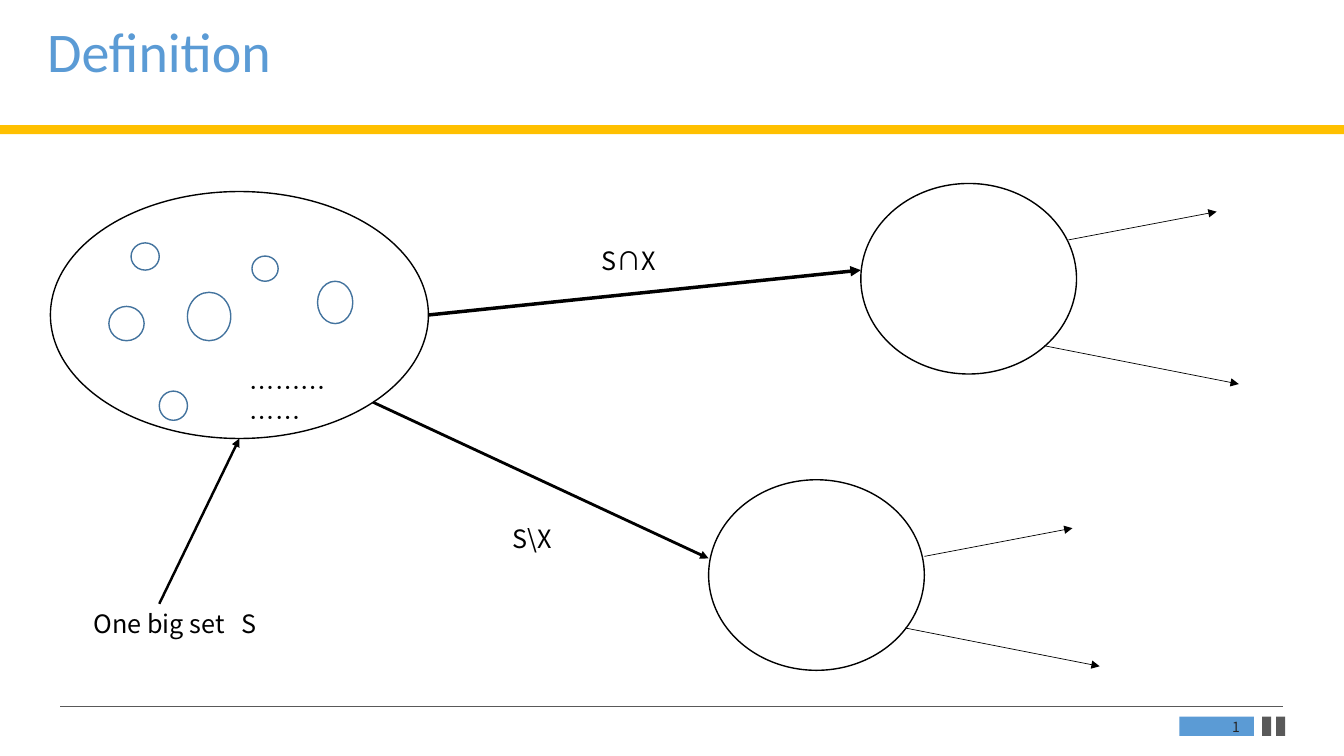
from lxml.etree import SubElement
from pptx import Presentation
from pptx.dml.color import RGBColor
from pptx.enum.shapes import MSO_CONNECTOR, MSO_SHAPE
from pptx.enum.text import MSO_ANCHOR, PP_ALIGN
from pptx.oxml.ns import qn
from pptx.util import Inches, Pt

WIDTH, HEIGHT = Inches(13.333), Inches(7.5)
COL, ROW = WIDTH / 40, HEIGHT / 30

WHITE = RGBColor(0xFF, 0xFF, 0xFF)
BLACK = RGBColor(0, 0, 0)
INK = RGBColor(0x26, 0x26, 0x26)
GREY = RGBColor(0x59, 0x59, 0x59)
BLUE = RGBColor(0x5B, 0x9B, 0xD5)
NAVY = RGBColor(0x43, 0x73, 0x9E)
GOLD = RGBColor(0xFF, 0xC0, 0x00)
FONT = "Noto Sans CJK SC"


def place(x, y):
    """Turn columns and rows into slide lengths."""
    return round(x * COL), round(y * ROW)


def shape(slide, kind, box, fill, line=None):
    x, y, w, h = box
    item = slide.shapes.add_shape(kind, *place(x, y), *place(w, h))
    item.shadow.inherit = False
    item.fill.solid()
    item.fill.fore_color.rgb = fill
    if line is None:
        item.line.fill.background()
    else:
        item.line.color.rgb = line
        item.line.width = Pt(1)


def line(slide, start, end, width, color=BLACK, arrow=True):
    item = slide.shapes.add_connector(
        MSO_CONNECTOR.STRAIGHT, *place(*start), *place(*end))
    item.line.color.rgb = color
    item.line.width = Pt(width)
    props = item.line._get_or_add_ln()
    if arrow:
        SubElement(props, qn("a:tailEnd"), type="triangle")
    SubElement(props.getparent(), qn("a:effectLst"))


def text(slide, box, words, size=18, color=BLACK, font=FONT, align=PP_ALIGN.LEFT,
         anchor=MSO_ANCHOR.TOP, space=1.0, tab=None):
    """Write one paragraph; tab is a stop in columns from the text's left edge."""
    x, y, w, h = box
    frame = slide.shapes.add_textbox(*place(x, y), *place(w, h)).text_frame
    frame.word_wrap = True
    frame.vertical_anchor = anchor
    para = frame.paragraphs[0]
    para.alignment = align
    para.line_spacing = space
    if tab is not None:
        stops = SubElement(para._p.get_or_add_pPr(), qn("a:tabLst"))
        SubElement(stops, qn("a:tab"), pos=str(round(tab * COL)), algn="l")
    run = para.add_run()
    run.text = words
    run.font.size = Pt(size)
    run.font.name = font
    run.font.color.rgb = color
    SubElement(run._r.get_or_add_rPr(), qn("a:ea"), typeface=font)


def header(slide, box):
    x, y, w, h = box
    shape(slide, MSO_SHAPE.RECTANGLE, (x, y + h - 0.36, w, 0.36), GOLD)
    text(slide, (x + 1.11, y + 0.76, 36.54, 2.56), "Definition",
         size=40, color=BLUE, font="Calibri", space=0.9)


def footer(slide, box):
    x, y, w, h = box
    line(slide, (x, y), (x + w, y), 0.5, color=GREY, arrow=False)
    for left, wide, fill in ((33.3, 2.22, BLUE), (35.76, 0.27, GREY), (36.18, 0.27, GREY)):
        shape(slide, MSO_SHAPE.RECTANGLE, (x + left, y + 0.4, wide, h - 0.4), fill)
    text(slide, (x + 33.42, y + 0.48, 1.98, 0.68), "1", size=10, color=INK,
         align=PP_ALIGN.RIGHT, anchor=MSO_ANCHOR.MIDDLE)


def big_set(slide, box):
    """Draw the set S with its small subsets and its caption."""
    x, y, w, h = box
    shape(slide, MSO_SHAPE.OVAL, box, WHITE, BLACK)
    subsets = ((2.4, 2.04, 0.84, 1.08), (1.74, 4.56, 1.05, 1.36), (6, 2.56, 0.78, 1),
               (4.08, 4, 1.29, 1.92), (7.95, 3.56, 1.05, 1.68), (3.24, 7.92, 0.84, 1.16))
    for left, top, wide, high in subsets:
        shape(slide, MSO_SHAPE.OVAL, (x + left, y + top, wide, high), WHITE, NAVY)
    text(slide, (x + 5.64, y + 6.96, 3.36, 1.6), "……………")
    base = y + 16.36
    line(slide, (x + 3.24, base), (x + w / 2, y + h), 1.75)
    text(slide, (x + 0.99, base, 5.52, 1.6), "One big set\tS", tab=4.41)


def branch(slide, box, starts):
    """Draw a resulting set with one arrow going up and one going down."""
    x, y, _, _ = box
    shape(slide, MSO_SHAPE.OVAL, box, WHITE, BLACK)
    for (left, top), (run, rise) in zip(starts, ((4.41, -1.12), (5.79, 1.52))):
        start = x + left, y + top
        line(slide, start, (start[0] + run, start[1] + rise), 0.5)


def main():
    deck = Presentation()
    deck.slide_width, deck.slide_height = WIDTH, HEIGHT
    slide = deck.slides.add_slide(deck.slide_layouts[6])
    header(slide, (0, 0, 40, 5.32))
    footer(slide, (1.8, 28.04, 36.39, 1.16))
    big_set(slide, (1.5, 7.6, 11.25, 9.8))
    branch(slide, (25.62, 7.28, 6.42, 7.56), ((6.18, 2.24), (5.46, 6.44)))
    branch(slide, (21.09, 19.04, 6.42, 7.56), ((6.42, 3.04), (5.85, 5.88)))
    line(slide, (12.75, 12.5), (25.62, 10.72), 2.5)
    line(slide, (11.1, 15.96), (21.09, 22.16), 2)
    text(slide, (17.61, 9.52, 2.28, 1.6), "S∩X")
    text(slide, (14.97, 20.56, 2.25, 1.6), "S\\X")
    deck.save("out.pptx")


if __name__ == "__main__":
    main()
